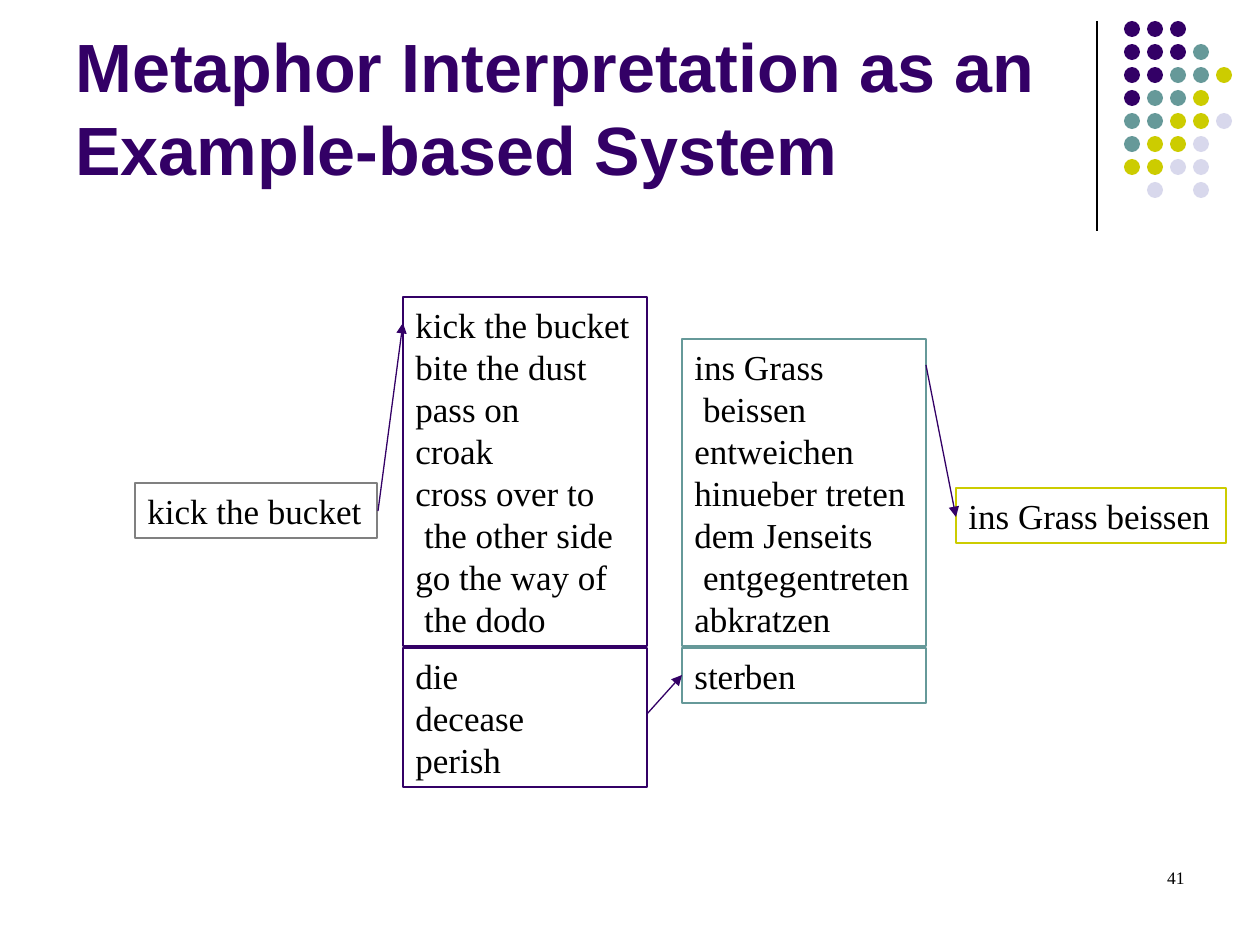
import pptx
import pptx.util
import pptx.dml.color
import pptx.enum.shapes
import pptx.enum.text
import pptx.oxml.ns
import lxml.etree

SCALE = 914400 / 126  # EMU in one px
COLORS = {
    "plum": "330066", "teal": "669999", "lime": "CCCC00",
    "mist": "D8D8EC", "gray": "808080", "black": "000000",
}
DOTS = ["PPP", "PPPT", "PPTTL", "PTTL", "TTLLM", "TLLM", "LLMM", " M M"]
KEYS = {"P": "plum", "T": "teal", "L": "lime", "M": "mist"}
SHAPES = pptx.enum.shapes.MSO_SHAPE
ALIGN = pptx.enum.text.PP_ALIGN
ANCHOR = pptx.enum.text.MSO_ANCHOR


def emu(*sizes):
    return [pptx.util.Emu(round(size * SCALE)) for size in sizes]


def color(name):
    return pptx.dml.color.RGBColor.from_string(COLORS[name])


def write(shape, words, size, pitch, font="Times New Roman", hue="black",
          bold=False, align=ALIGN.LEFT, anchor=ANCHOR.TOP):
    """Set one paragraph, whose lines are split by line breaks."""
    frame = shape.text_frame
    frame.word_wrap = True
    frame.vertical_anchor = anchor
    par = frame.paragraphs[0]
    par.text = words
    par.alignment = align
    par.line_spacing = pptx.util.Pt(pitch)
    for run in par.runs:
        run.font.name = font
        run.font.size = pptx.util.Pt(size)
        run.font.bold = bold
        run.font.color.rgb = color(hue)


def line(slide, start, end, hue, arrow=False):
    link = slide.shapes.add_connector(
        pptx.enum.shapes.MSO_CONNECTOR.STRAIGHT, *emu(*start, *end))
    link.line.color.rgb = color(hue)
    link.line.width = pptx.util.Pt(0.75)
    tag = pptx.oxml.ns.qn
    if arrow:
        lxml.etree.SubElement(link.line._get_or_add_ln(), tag("a:tailEnd"),
                              type="triangle")
    lxml.etree.SubElement(link._element.spPr, tag("a:effectLst"))


def cell(slide, box, lines, hue):
    """Outlined box with a list of phrases."""
    rect = slide.shapes.add_shape(SHAPES.RECTANGLE, *emu(*box))
    rect.shadow.inherit = False
    rect.fill.background()
    rect.line.color.rgb = color(hue)
    rect.line.width = pptx.util.Pt(0.75)
    write(rect, "\n".join(lines), 20, 24)


def corner(slide, box):
    """Rule and dot grid at the top right."""
    left, top, width, height = box
    line(slide, (left, top), (left, top + height), "black")
    pitch, size = 23, 16
    first = left + width - 4 * pitch - size
    for row, marks in enumerate(DOTS):
        for col, mark in enumerate(marks):
            if mark == " ":
                continue
            dot = slide.shapes.add_shape(SHAPES.OVAL, *emu(
                first + col * pitch, top + row * pitch, size, size))
            dot.shadow.inherit = False
            dot.fill.solid()
            dot.fill.fore_color.rgb = color(KEYS[mark])
            dot.line.fill.background()


def title(slide, box):
    head = slide.shapes.add_textbox(*emu(*box))
    write(head, "Metaphor Interpretation as an Example-based System", 39, 47,
          "Arial", "plum", True, anchor=ANCHOR.BOTTOM)


def chart(slide, box):
    """Phrase, its group, the matching group and the result."""
    left, top, width, height = box
    wide, short = 244, 55
    group, match, last = left + 268, left + 547, left + width - 270
    split = top + 351  # idioms above, plain verbs below

    cell(slide, (left, top + 186, 242, short), ["kick the bucket"], "gray")
    cell(slide, (group, top, wide, 349),
         ["kick the bucket", "bite the dust", "pass on", "croak",
          "cross over to", " the other side", "go the way of", " the dodo"],
         "plum")
    cell(slide, (group, split, wide, height - 351),
         ["die", "decease", "perish"], "plum")
    cell(slide, (match, top + 42, wide, 307),
         ["ins Grass", " beissen", "entweichen", "hinueber treten",
          "dem Jenseits", " entgegentreten", "abkratzen"], "teal")
    cell(slide, (match, split, wide, short), ["sterben"], "teal")
    cell(slide, (last, top + 191, 270, short), ["ins Grass beissen"], "lime")

    # Arrows from phrase to result
    for start, end in [
        ((left + 243, top + 214), (group, top + 26)),
        ((group + wide, top + 417), (match, top + 378)),
        ((match + wide, top + 68), (last, top + 220)),
    ]:
        line(slide, start, end, "plum", True)


def number(slide, box):
    foot = slide.shapes.add_textbox(*emu(*box))
    write(foot, "41", 10, 12, align=ALIGN.RIGHT)


def main():
    deck = pptx.Presentation()
    deck.slide_width, deck.slide_height = emu(1260, 945)
    slide = deck.slides.add_slide(deck.slide_layouts[6])
    corner(slide, (1097, 21, 135, 210))
    title(slide, (63, 16, 1040, 179))
    chart(slide, (135, 297, 1091, 490))
    number(slide, (903, 861, 294, 63))
    deck.save("out.pptx")


if __name__ == "__main__":
    main()
